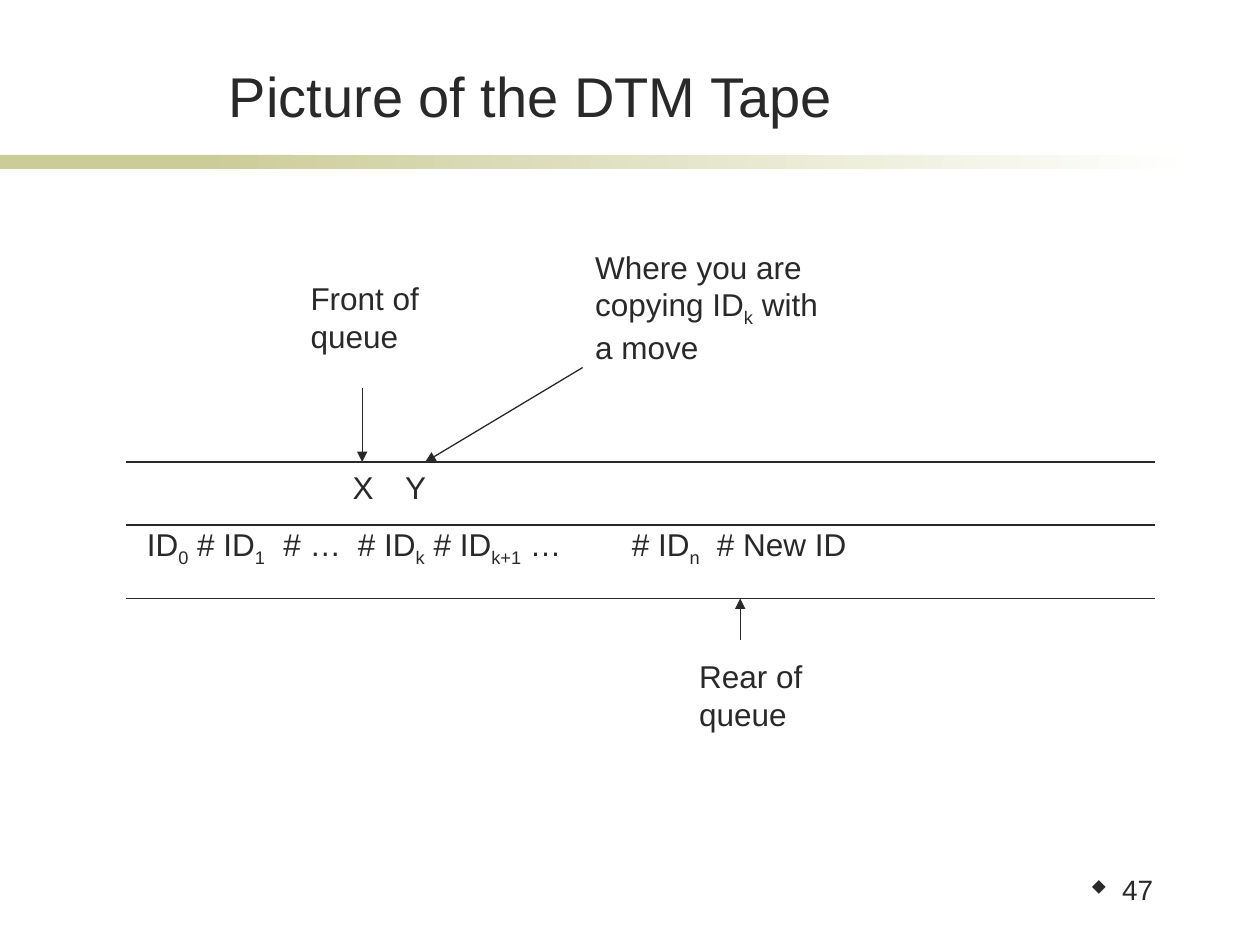
"""Build the slide showing the queue laid out on the tape of a deterministic Turing machine."""
from lxml.etree import SubElement
from pptx import Presentation
from pptx.dml.color import RGBColor
from pptx.enum.shapes import MSO_CONNECTOR as LINE, MSO_SHAPE as SHAPE
from pptx.enum.text import MSO_ANCHOR as ANCHOR, PP_ALIGN as ALIGN
from pptx.oxml.ns import qn
from pptx.util import Inches, Pt

INK, OLIVE, WHITE = "292929", "CCCC99", "FFFFFF"
color = RGBColor.from_string

deck = Presentation()
deck.slide_width, deck.slide_height = Inches(10), Inches(7.5)
CELL = deck.slide_width / 120
slide = deck.slides.add_slide(deck.slide_layouts[5])


def write(parent, box, lines, tabs=()):
    """Add lines of text in which every second piece between bars is a subscript."""
    frame = parent.add_textbox(*(int(CELL * cells) for cells in box)).text_frame
    frame.word_wrap = True
    for number, line in enumerate(lines):
        paragraph = frame.add_paragraph() if number else frame.paragraphs[0]
        for index, piece in enumerate(line.split("|")):
            run = paragraph.add_run()
            run.text = piece
            if index % 2:
                run._r.get_or_add_rPr().set("baseline", "-25000")
        if tabs:
            stops = SubElement(paragraph._p.get_or_add_pPr(), qn("a:tabLst"))
            for tab in tabs:
                SubElement(stops, qn("a:tab"), pos=str(int(CELL * tab)), algn="l")
        paragraph.font.name, paragraph.font.size = "Arial", Pt(18)
        paragraph.font.color.rgb = color(INK)
    return frame


def draw(parent, ends, arrow=False):
    """Draw a thin line between two grid points, with an arrowhead if asked."""
    line = parent.add_connector(LINE.STRAIGHT, *(int(CELL * cells) for cells in ends))
    line.line.color.rgb, line.line.width = color(INK), Pt(0.75)
    if arrow:
        SubElement(line.line._get_or_add_ln(), qn("a:tailEnd"), type="triangle")
    SubElement(line._element.spPr, qn("a:effectLst"))


for left, width, faded in ((0, 28, False), (19, 95, True)):
    band = slide.shapes.add_shape(
        SHAPE.RECTANGLE, *(int(CELL * cells) for cells in (left, 14.75, width, 1.35)))
    band.shadow.inherit = False
    band.line.fill.background()
    if faded:
        band.fill.gradient()
        band.fill.gradient_angle = 0
        for stop, shade in zip(band.fill.gradient_stops, (OLIVE, WHITE)):
            stop.color.rgb = color(shade)
    else:
        band.fill.solid()
        band.fill.fore_color.rgb = color(OLIVE)

title = slide.shapes.title
title.left, title.top, title.width, title.height = (
    int(CELL * cells) for cells in (13.7, 5.4, 73.7, 7.5))
title.text_frame.text = "Picture of the DTM Tape"
title.text_frame.vertical_anchor = ANCHOR.BOTTOM
heading = title.text_frame.paragraphs[0]
heading.alignment = ALIGN.CENTER
heading.font.name, heading.font.size = "Arial", Pt(32)
heading.font.color.rgb = color(INK)

for row in (44, 50, 57):
    draw(slide.shapes, (12, row, 110, row))

write(slide.shapes, (12.8, 49.4, 100, 6),
      ["ID|0| # ID|1|\t# …\t# ID|k| # ID|k+1| …\t# ID|n|\t# New ID"],
      tabs=(13, 20.1, 46.2, 54.3))
for left, track in ((32.4, "X"), (37.4, "Y")):
    write(slide.shapes, (left, 44, 4.7, 6), [track])

callouts = (
    ((28.4, 26, 16.3, 10.8), ["Front of", "queue"], (34.5, 37, 34.5, 44)),
    ((55.5, 23, 32.8, 15.6), ["Where you are", "copying ID|k| with", "a move"],
     (55.5, 35, 40.5, 44)),
    ((65.4, 62, 15.3, 10.8), ["Rear of", "queue"], (70.5, 61, 70.5, 57)),
)
for box, lines, arrow in callouts:
    callout = slide.shapes.add_group_shape().shapes
    write(callout, box, lines)
    draw(callout, arrow, arrow=True)

page = write(slide.shapes, (98.8, 82.9, 12.2, 6), ["47"]).paragraphs[0]
page.alignment, page.line_spacing, page.font.size = ALIGN.RIGHT, 0.9, Pt(16)
layout = page._p.get_or_add_pPr()
layout.set("marL", str(int(CELL * 3)))
layout.set("indent", str(int(CELL * -3)))
bullet_color = layout.makeelement(qn("a:buClr"), {})
SubElement(bullet_color, qn("a:srgbClr"), val=INK)
bullet_size = layout.makeelement(qn("a:buSzPct"), {"val": "60000"})
bullet_font = layout.makeelement(
    qn("a:buFont"), {"typeface": "Wingdings", "pitchFamily": "2", "charset": "2"})
bullet = layout.makeelement(qn("a:buChar"), {"char": "u"})
for part in (bullet_color, bullet_size, bullet_font, bullet):
    layout.find(qn("a:defRPr")).addprevious(part)

deck.save("out.pptx")
